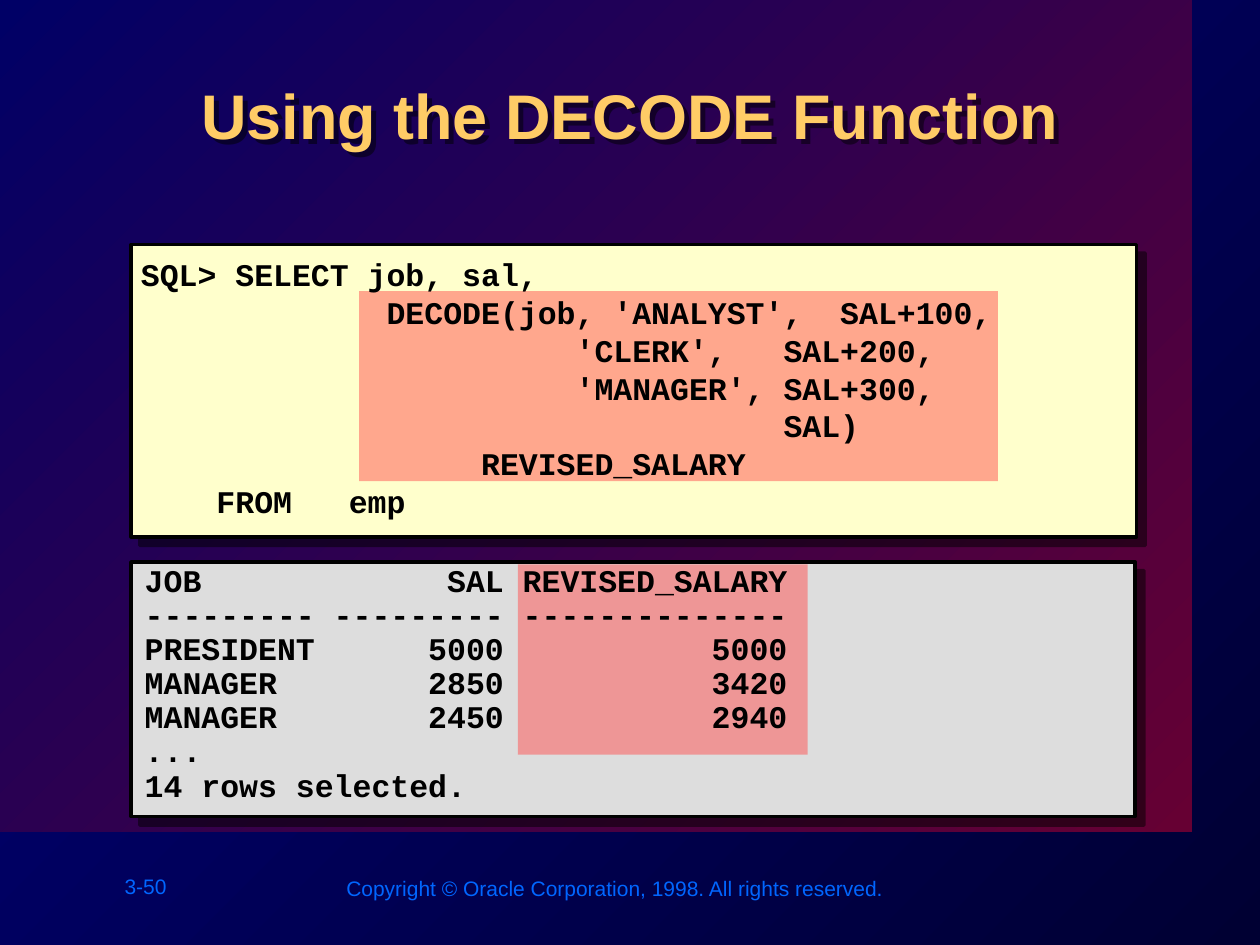
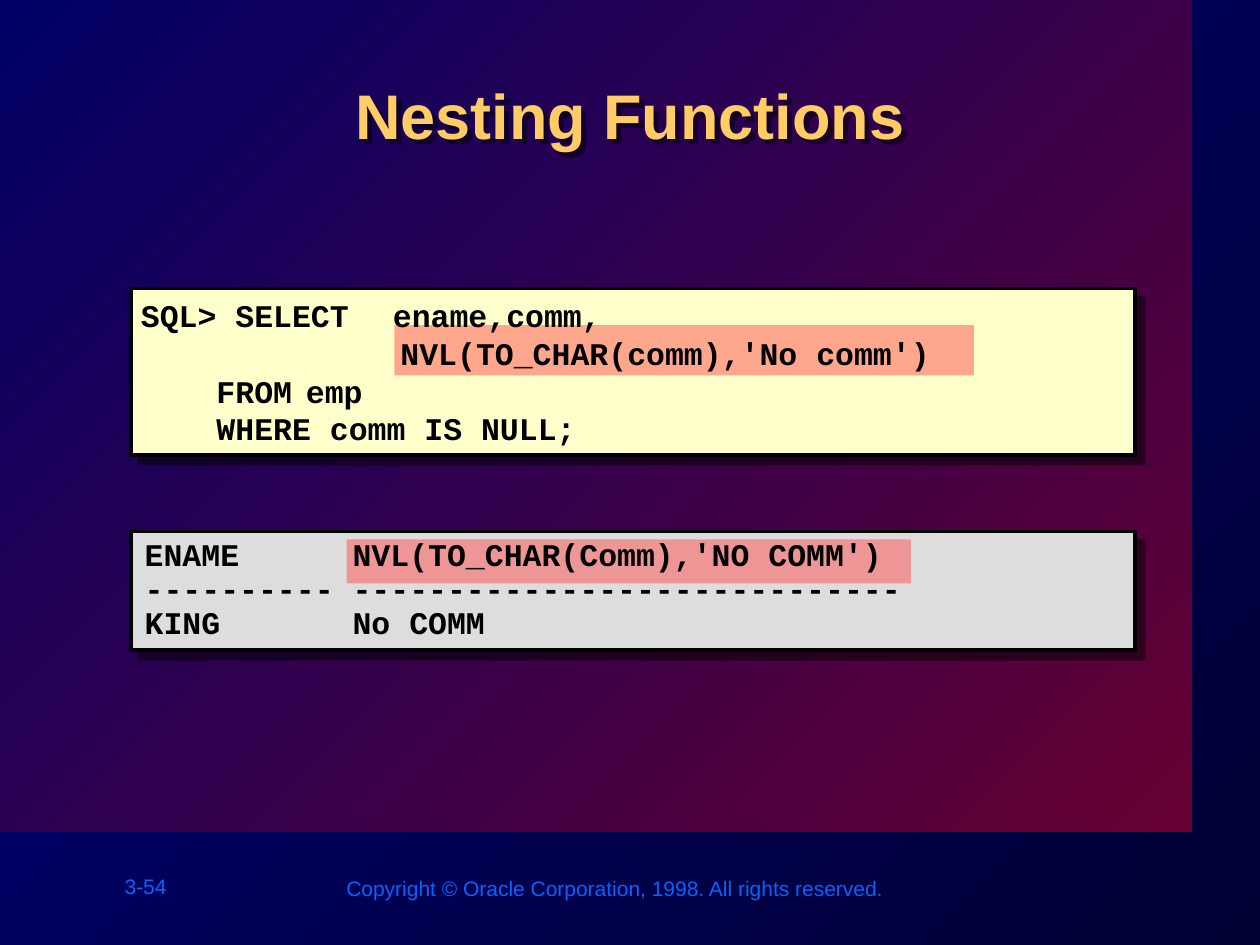
from lxml import etree
from pptx import Presentation
from pptx.dml.color import RGBColor
from pptx.enum.shapes import MSO_SHAPE
from pptx.enum.text import MSO_ANCHOR, PP_ALIGN
from pptx.oxml.ns import qn
from pptx.util import Inches, Pt

BLACK = RGBColor(0, 0, 0)
GOLD = RGBColor(0xFF, 0xCC, 0x66)
FOOTER_BLUE = RGBColor(0x00, 0x66, 0xFF)
CREAM = RGBColor(0xFF, 0xFF, 0xCC)
GREY = RGBColor(0xDD, 0xDD, 0xDD)
CORAL = RGBColor(0xFF, 0x50, 0x50)
EDGE_GRADIENT = (RGBColor(0, 0, 0x80), RGBColor(0, 0, 0x33))
PANEL_GRADIENT = (RGBColor(0, 0, 0x66), RGBColor(0x66, 0, 0x33))

TITLE_FONT = {"name": "Arial", "size": Pt(36), "bold": True}
FOOTER_FONT = {"name": "Arial", "size": Pt(12), "bold": False}
CODE_FONT = {"name": "Courier New", "size": Pt(18), "bold": True}
COPYRIGHT = "Copyright © Oracle Corporation, 1998. All rights reserved."
CODE_TAB = Inches(1.31)

# Each box is left, top, width, height in inches
SLIDES = [
    {
        "title": "Using the DECODE Function",
        "number": "3-50",
        "query_box": (1.04, 1.94, 7.98, 2.32),
        "query_mark": (2.85, 2.31, 5.07, 1.51),
        "query_text": (1.02, 1.9, 8, 2.35),
        "query": [
            "SQL> SELECT job, sal,",
            "             DECODE(job, 'ANALYST',  SAL+100,",
            "                       'CLERK',   SAL+200,",
            "                       'MANAGER', SAL+300,",
            "                                  SAL)",
            "                  REVISED_SALARY",
            "    FROM   emp",
        ],
        "result_box": (1.04, 4.46, 7.97, 2.02),
        "result_mark": (4.11, 4.48, 2.3, 1.51),
        "result_text": (1.05, 4.44, 7.95, 2),
        "result": [
            "JOB             SAL REVISED_SALARY",
            "--------- --------- --------------",
            "PRESIDENT      5000           5000",
            "MANAGER        2850           3420",
            "MANAGER        2450           2940",
            "...",
            "14 rows selected.",
        ],
    },
    {
        "title": "Nesting Functions",
        "number": "3-54",
        "query_box": (1.04, 2.29, 7.97, 1.32),
        "query_mark": (3.13, 2.58, 4.6, 0.4),
        "query_text": (1.02, 2.15, 8, 1.6),
        "query": [
            "SQL> SELECT\tename,comm,",
            "  \t     NVL(TO_CHAR(comm),'No comm')",
            "    FROM\temp",
            "    WHERE\tcomm IS NULL;",
        ],
        "result_box": (1.04, 4.22, 7.97, 0.94),
        "result_mark": (2.75, 4.28, 4.48, 0.35),
        "result_text": (1.05, 4.23, 7.94, 0.91),
        "result": [
            "ENAME      NVL(TO_CHAR(Comm),'NO COMM')",
            "---------- -----------------------------",
            "KING       No COMM",
        ],
    },
]


def set_gradient(fill, colours):
    fill.gradient()
    fill.gradient_angle = 315
    for stop, colour in zip(fill.gradient_stops, colours):
        stop.color.rgb = colour


def add_shadow(shape, distance):
    """Give a shape a half-transparent black shadow, down and to the right."""
    shape.shadow.inherit = False
    effects = shape._element.spPr.find(qn("a:effectLst"))
    outer = etree.SubElement(effects, qn("a:outerShdw"), blurRad="0",
                             dist=str(Pt(distance)), dir="2700000",
                             algn="ctr", rotWithShape="0")
    colour = etree.SubElement(outer, qn("a:srgbClr"), val="000000")
    etree.SubElement(colour, qn("a:alpha"), val="50000")


def add_rectangle(page, box):
    shape = page.shapes.add_shape(MSO_SHAPE.RECTANGLE, *map(Inches, box))
    shape.shadow.inherit = False
    shape.line.fill.background()
    return shape


def add_text(page, box, lines, font, colour, wrap=True, anchor=MSO_ANCHOR.TOP,
             align=PP_ALIGN.LEFT, spacing=None, tab=None):
    shape = page.shapes.add_textbox(*map(Inches, box))
    frame = shape.text_frame
    frame.word_wrap = wrap
    frame.vertical_anchor = anchor
    for index, line in enumerate(lines):
        para = frame.paragraphs[0] if index == 0 else frame.add_paragraph()
        para.alignment = align
        if tab:
            tabs = etree.SubElement(para._p.get_or_add_pPr(), qn("a:tabLst"))
            etree.SubElement(tabs, qn("a:tab"), pos=str(tab), algn="l")
        if spacing:
            para.line_spacing = spacing
        span = para.add_run()
        span.text = line
        for key, value in font.items():
            setattr(span.font, key, value)
        span.font.color.rgb = colour
    return shape


def add_backdrop(page, number):
    set_gradient(page.background.fill, EDGE_GRADIENT)
    panel = add_rectangle(page, (0, 0, 9.46, 6.6))
    set_gradient(panel.fill, PANEL_GRADIENT)
    # Footer
    for box, text in (((0.89, 6.88, 0.55, 0.3), number),
                      ((2.65, 6.9, 4.49, 0.3), COPYRIGHT)):
        add_text(page, box, [text], FOOTER_FONT, FOOTER_BLUE, wrap=False)


def add_title(page, title):
    shape = add_text(page, (1.01, 0.56, 7.98, 0.96), [title], TITLE_FONT, GOLD,
                     align=PP_ALIGN.CENTER)
    add_shadow(shape, 4)


def add_code_panel(page, box, colour, mark_box, text_box, lines, **layout):
    # Framed panel
    panel = add_rectangle(page, box)
    panel.fill.solid()
    panel.fill.fore_color.rgb = colour
    panel.line.color.rgb = BLACK
    panel.line.width = Pt(2)
    add_shadow(panel, 7.1)
    # Translucent highlight
    mark = add_rectangle(page, mark_box)
    mark.fill.solid()
    mark.fill.fore_color.rgb = CORAL
    mark_colour = mark._element.spPr.find(qn("a:solidFill"))[0]
    etree.SubElement(mark_colour, qn("a:alpha"), val="50000")
    # Code
    add_text(page, text_box, lines, CODE_FONT, BLACK, tab=CODE_TAB, **layout)


def add_code_slide(deck, content):
    page = deck.slides.add_slide(deck.slide_layouts[6])
    add_backdrop(page, content["number"])
    add_title(page, content["title"])
    for part, colour, layout in (
            ("query", CREAM, {"anchor": MSO_ANCHOR.MIDDLE}),
            ("result", GREY, {"spacing": 0.9})):
        add_code_panel(page, content[part + "_box"], colour,
                       content[part + "_mark"], content[part + "_text"],
                       content[part], **layout)


def main():
    deck = Presentation()
    deck.slide_width = Inches(10)
    deck.slide_height = Inches(7.5)
    for content in SLIDES:
        add_code_slide(deck, content)
    deck.save("out.pptx")


if __name__ == "__main__":
    main()
